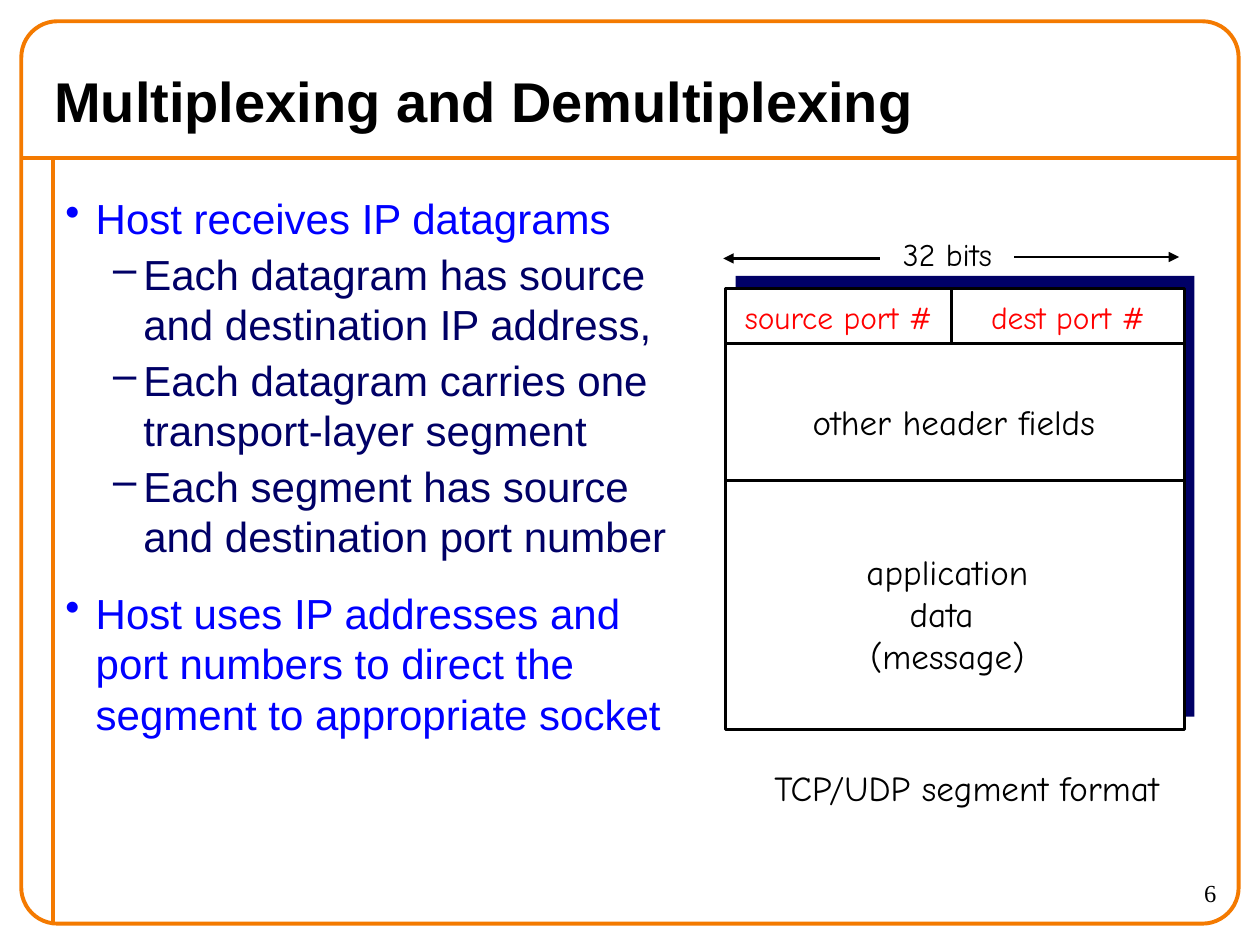
from lxml import etree
from pptx import Presentation
from pptx.dml.color import RGBColor
from pptx.enum.shapes import MSO_CONNECTOR, MSO_SHAPE
from pptx.enum.text import MSO_ANCHOR, MSO_AUTO_SIZE, PP_ALIGN
from pptx.oxml.ns import qn
from pptx.util import Cm, Pt

STRAIGHT = MSO_CONNECTOR.STRAIGHT
RECTANGLE, ROUNDED = MSO_SHAPE.RECTANGLE, MSO_SHAPE.ROUNDED_RECTANGLE
LEFT, CENTER, RIGHT = PP_ALIGN.LEFT, PP_ALIGN.CENTER, PP_ALIGN.RIGHT
TOP, MIDDLE = MSO_ANCHOR.TOP, MSO_ANCHOR.MIDDLE
GROW = MSO_AUTO_SIZE.SHAPE_TO_FIT_TEXT

THEME = {
    "orange": "F47A00", "navy": "000066", "blue": "0000FF",
    "red": "FF0000", "black": "000000", "white": "FFFFFF",
    "frame_line": 2.25, "diagram_line": 1.5,
    "title": {"name": "Arial", "size": Pt(32), "bold": True},
    "body": {"name": "Arial", "size": Pt(24)},
    "field": {"name": "Comic Neue", "size": Pt(18)},
    "label": {"name": "Comic Neue", "size": Pt(20)},
    "page": {"name": "Times New Roman", "size": Pt(14)},
}

TITLE = "Multiplexing and Demultiplexing"
PAGE_NUMBER = "6"
OUTLINE = [
    (0, "Host receives IP datagrams"),
    (1, "Each datagram has source and destination IP address,"),
    (1, "Each datagram carries one transport-layer segment"),
    (1, "Each segment has source and destination port number"),
    (0, "Host uses IP addresses and port numbers to direct the segment "
        "to appropriate socket"),
]
LEVELS = [
    {"bullet": "•", "color": "blue", "margin": 0.61, "before": 15},
    {"bullet": "–", "color": "navy", "margin": 1.57, "before": 3},
]
HANGING = 0.61

SLIDE_W, SLIDE_H = 25.4, 19.05
FRAME_GAP, HEADER_Y, MARGIN_X = 0.43, 3.18, 1.07
SEGMENT_X, SEGMENT_Y, SEGMENT_W, SEGMENT_H = 14.63, 5.82, 9.25, 8.89
SHADOW_DX, SHADOW_DY = 0.2, -0.26
PORTS_BOTTOM, HEADER_BOTTOM, PORT_SPLIT = 6.93, 9.68, 19.18
SEGMENT_RIGHT = SEGMENT_X + SEGMENT_W

CAPTIONS = [
    (["source port #"], (SEGMENT_X + PORT_SPLIT) / 2, 5.89, 4.29, "field", "red"),
    (["dest port #"], (PORT_SPLIT + SEGMENT_RIGHT) / 2, 5.89, 3.61, "field", "red"),
    (["32 bits"], 19.1, 4.62, 2.29, "field", "black"),
    (["other header fields"], 19.23, 7.95, 6.2, "label", "black"),
    (["application", "data ", "(message)"], 19.1, 10.97, 3.76, "label", "black"),
    (["TCP/UDP segment format"], 19.49, 15.32, 8.36, "label", "black"),
]
FRAME_RULES = [
    (FRAME_GAP, HEADER_Y, SLIDE_W - FRAME_GAP, HEADER_Y),
    (MARGIN_X, HEADER_Y, MARGIN_X, SLIDE_H - FRAME_GAP),
]
DIVIDERS = [
    (SEGMENT_X, PORTS_BOTTOM, SEGMENT_RIGHT, PORTS_BOTTOM),
    (SEGMENT_X, HEADER_BOTTOM, SEGMENT_RIGHT, HEADER_BOTTOM),
    (PORT_SPLIT, PORTS_BOTTOM, PORT_SPLIT, SEGMENT_Y),
]
WIDTH_ARROWS = [(20.45, 5.18, 23.77, 5.18), (17.73, 5.21, 14.58, 5.21)]


def rgb(color):
    return RGBColor.from_string(THEME[color])


def style_line(line, color, width):
    line.color.rgb = rgb(color)
    line.width = Pt(THEME[width])


def add_line(slide, ends, color, width, arrow=False):
    connector = slide.shapes.add_connector(STRAIGHT, *map(Cm, ends))
    style_line(connector.line, color, width)
    properties = connector._element.spPr
    if arrow:
        outline = properties.find(qn("a:ln"))
        etree.SubElement(outline, qn("a:tailEnd"), type="triangle")
    etree.SubElement(properties, qn("a:effectLst"))


def add_block(slide, kind, place, fill=None, line=None, width=None):
    block = slide.shapes.add_shape(kind, *map(Cm, place))
    block.shadow.inherit = False
    if fill:
        block.fill.solid()
        block.fill.fore_color.rgb = rgb(fill)
    else:
        block.fill.background()
    if line:
        style_line(block.line, line, width)
    else:
        block.line.fill.background()
    return block


def style_paragraph(paragraph, style, color, align=LEFT):
    paragraph.alignment = align
    for attribute, value in THEME[style].items():
        setattr(paragraph.font, attribute, value)
    paragraph.font.color.rgb = rgb(color)


def write(frame, lines, style, color, align=LEFT, **layout):
    for attribute, value in ({"word_wrap": True, "vertical_anchor": TOP} | layout).items():
        setattr(frame, attribute, value)
    for index, line in enumerate(lines):
        paragraph = frame.paragraphs[0] if index == 0 else frame.add_paragraph()
        paragraph.text = line
        style_paragraph(paragraph, style, color, align)


def add_text(slide, place, *content, **layout):
    box = slide.shapes.add_textbox(*map(Cm, place))
    write(box.text_frame, *content, **layout)


def add_outline(slide, place):
    frame = slide.shapes.add_textbox(*map(Cm, place)).text_frame
    frame.word_wrap = True
    for index, (depth, text) in enumerate(OUTLINE):
        level = LEVELS[depth]
        item = frame.add_paragraph() if index else frame.paragraphs[0]
        item.text = text
        item.level = depth
        style_paragraph(item, "body", level["color"])
        item.space_before = Pt(level["before"] if index else 0)
        properties = item._p.get_or_add_pPr()
        properties.set("marL", str(Cm(level["margin"])))
        properties.set("indent", str(-Cm(HANGING)))
        bullet_color = etree.Element(qn("a:buClr"))
        etree.SubElement(bullet_color, qn("a:srgbClr"), val=THEME[level["color"]])
        bullet = etree.Element(qn("a:buChar"), char=level["bullet"])
        run_defaults = properties.find(qn("a:defRPr"))
        run_defaults.addprevious(bullet_color)
        run_defaults.addprevious(bullet)


def add_segment(slide):
    add_block(slide, RECTANGLE, (SEGMENT_X + SHADOW_DX, SEGMENT_Y + SHADOW_DY,
                                 SEGMENT_W, SEGMENT_H), fill="navy")
    add_block(slide, RECTANGLE, (SEGMENT_X, SEGMENT_Y, SEGMENT_W, SEGMENT_H),
              "white", "black", "diagram_line")
    for ends in DIVIDERS:
        add_line(slide, ends, "black", "diagram_line")
    for ends in WIDTH_ARROWS:
        add_line(slide, ends, "black", "diagram_line", arrow=True)
    for lines, center, top, width, style, color in CAPTIONS:
        height = 0.25 + len(lines) * 0.85
        add_text(slide, (center - width / 2, top, width, height),
                 lines, style, color, align=CENTER, word_wrap=False,
                 auto_size=GROW, margin_left=0, margin_right=0)


def main():
    deck = Presentation()
    deck.slide_width, deck.slide_height = Cm(SLIDE_W), Cm(SLIDE_H)
    slide = deck.slides.add_slide(deck.slide_layouts[5])

    for ends in FRAME_RULES:
        add_line(slide, ends, "orange", "frame_line")
    border = add_block(slide, ROUNDED, (FRAME_GAP, FRAME_GAP, SLIDE_W - 2 * FRAME_GAP,
                                        SLIDE_H - 2 * FRAME_GAP),
                       line="orange", width="frame_line")
    border.adjustments[0] = 0.04

    title = slide.shapes.title
    title.left, title.top, title.width, title.height = map(Cm, (0.84, 1.07, 22.4, 1.9))
    write(title.text_frame, [TITLE], "title", "black", vertical_anchor=MIDDLE)

    add_outline(slide, (MARGIN_X, 3.76, 12.9, 13.97))
    add_segment(slide)
    add_text(slide, (22.23, 17.58, 2.54, 1.07), [PAGE_NUMBER], "page", "black",
             align=RIGHT)
    deck.save("out.pptx")


if __name__ == "__main__":
    main()
